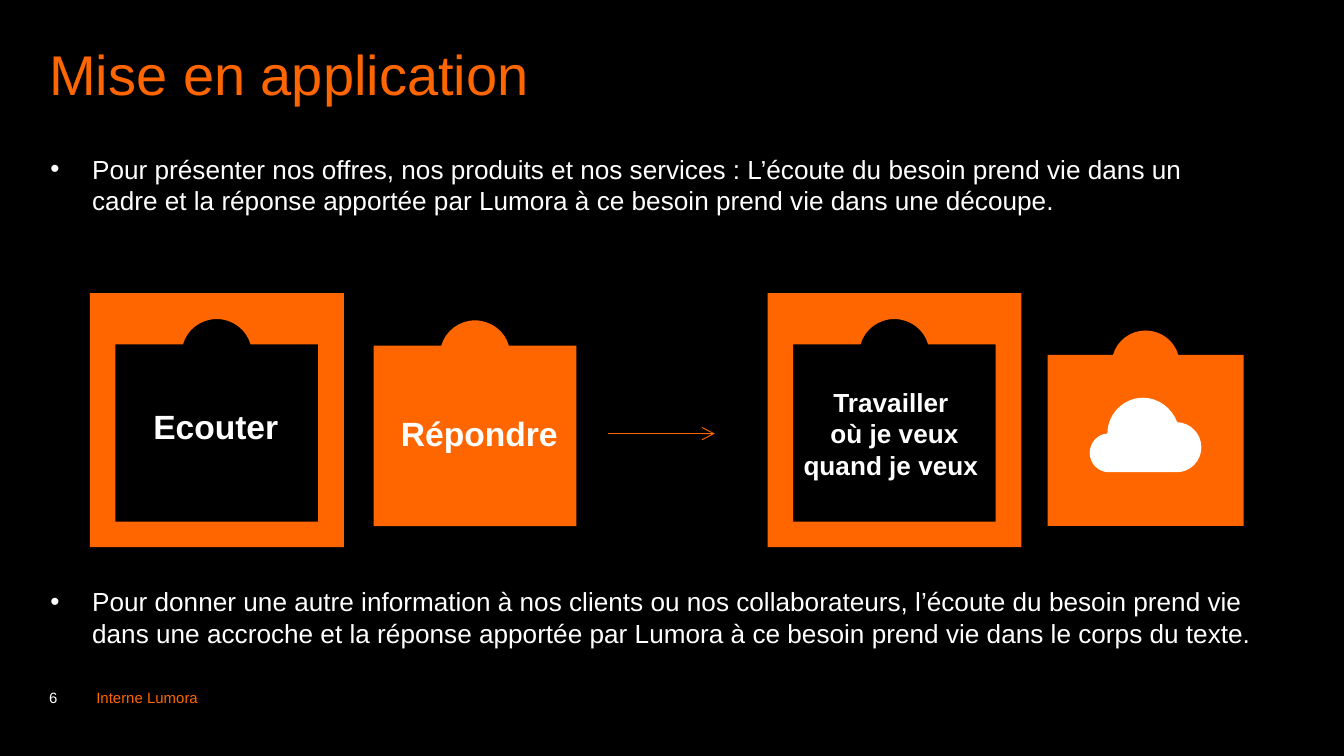
from lxml.etree import SubElement
from pptx import Presentation
from pptx.dml.color import RGBColor
from pptx.enum.shapes import MSO_CONNECTOR
from pptx.enum.text import MSO_ANCHOR, PP_ALIGN
from pptx.oxml.ns import qn
from pptx.util import Pt

BLACK = RGBColor(0x00, 0x00, 0x00)
WHITE = RGBColor(0xFF, 0xFF, 0xFF)
ORANGE = RGBColor(0xFF, 0x66, 0x00)

prs = Presentation()
prs.slide_width, prs.slide_height = Pt(720), Pt(405)
s = prs.slides.add_slide(prs.slide_layouts[6])
s.background.fill.solid()
s.background.fill.fore_color.rgb = BLACK


def tab_outline(x, y, w, h):
    """Box with a round knob on its top edge; a step of three points is a curve."""
    half, rise, mid = w / 6, w / 8, x + w / 2
    return [
        [(x, y)],
        [(mid - half, y)],
        [(mid - 0.88 * half, y - 0.58 * rise), (mid - 0.47 * half, y - rise), (mid, y - rise)],
        [(mid + 0.47 * half, y - rise), (mid + 0.88 * half, y - 0.58 * rise), (mid + half, y)],
        [(x + w, y)],
        [(x + w, y + h)],
        [(x, y + h)],
    ]


def add_outline(contours, color):
    """Freeform from contours of line and curve steps."""
    builder = None
    for contour in contours:
        ends = [(Pt(step[-1][0]), Pt(step[-1][1])) for step in contour]
        if builder is None:
            builder = s.shapes.build_freeform(*ends[0], scale=1.0)
        else:
            builder.move_to(*ends[0])
        builder.add_line_segments(ends[1:], close=True)
    sp = builder.convert_to_shape()
    sp.shadow.inherit = False
    sp.fill.solid()
    sp.fill.fore_color.rgb = color
    sp.line.fill.background()
    # Turn the three-point steps into Bézier curves
    steps = [step for contour in contours for step in contour[1:]]
    segments = list(sp._element.iter(qn("a:lnTo")))
    for step, segment in zip(steps, segments):
        if len(step) == 3:
            segment.tag = qn("a:cubicBezTo")
            for i, (px, py) in enumerate(step[:2]):
                pt = SubElement(segment, qn("a:pt"), x=str(Pt(px) - sp.left), y=str(Pt(py) - sp.top))
                segment.insert(i, pt)


# Solid tab and frame with a tab-shaped cut-out, for each pair
for tab, x in (((200.2, 185.2, 108.6, 96.6), 48.2), ((561.3, 190.2, 104.9, 91.6), 411.2)):
    y, size = 157.1, 136
    square = [[(x, y)], [(x, y + size)], [(x + size, y + size)], [(x + size, y)]]
    add_outline([tab_outline(*tab)], ORANGE)
    add_outline([tab_outline(x + 13.7, 184.5, 108.5, 95), square], ORANGE)

# Cloud
add_outline([[
    [(630.7, 226.2)],
    [(627.8, 218.6), (620.6, 213.1), (612.4, 213.1)],
    [(601.9, 213.1), (593.3, 221.8), (593.3, 232.3)],
    [(588, 232.5), (583.8, 237.2), (583.8, 242.6)],
    [(583.8, 248.4), (588.4, 253), (594.2, 253)],
    [(630.4, 253)],
    [(637.7, 253), (643.6, 247), (643.6, 239.7)],
    [(643.6, 232.4), (637.9, 226.5), (630.7, 226.2)],
]], WHITE)

# Arrow between the two pairs
line = s.shapes.add_connector(MSO_CONNECTOR.STRAIGHT, Pt(325.8), Pt(232.3), Pt(382.9), Pt(232.3))
line.line.color.rgb = ORANGE
line.line.width = Pt(0.5)
SubElement(line.line._get_or_add_ln(), qn("a:tailEnd"), type="arrow")
SubElement(line._element.spPr, qn("a:effectLst"))

# Title, page number and footer: no insets, tight lines
for box, text, size, color, anchor in (
    ((26.5, 26.6, 666.7, 51), "Mise en application", 30, ORANGE, MSO_ANCHOR.TOP),
    ((26.4, 352, 21.6, 26.6), "6", 8, WHITE, MSO_ANCHOR.BOTTOM),
    ((51.6, 352, 641.5, 26.6), "Interne Lumora", 8, ORANGE, MSO_ANCHOR.BOTTOM),
):
    tf = s.shapes.add_textbox(*map(Pt, box)).text_frame
    tf.word_wrap = True
    tf.vertical_anchor = anchor
    tf.margin_left = tf.margin_right = tf.margin_top = tf.margin_bottom = 0
    p = tf.paragraphs[0]
    p.line_spacing = 0.85
    r = p.add_run()
    r.text = text
    r.font.name, r.font.size, r.font.color.rgb = "Arial", Pt(size), color

# Bulleted paragraphs and bold labels
for box, lines, size, bulleted in (
    ((19.9, 78.5, 633.6, 58.3),
     ["Pour présenter nos offres, nos produits et nos services : L’écoute du besoin "
      "prend vie dans un cadre et la réponse apportée par Lumora à ce besoin prend "
      "vie dans une découpe."], 14, True),
    ((19.9, 310.3, 673.9, 58.3),
     ["Pour donner une autre information à nos clients ou nos collaborateurs, "
      "l’écoute du besoin prend vie dans une accroche et la réponse apportée par "
      "Lumora à ce besoin prend vie dans le corps du texte."], 14, True),
    ((41.8, 213.8, 147.6, 29), ["Ecouter"], 18, False),
    ((176.5, 217.5, 160.6, 29), ["Répondre"], 18, False),
    ((416.2, 203, 126, 58.3), ["Travailler ", "où je veux quand je veux "], 14, False),
):
    tf = s.shapes.add_textbox(*map(Pt, box)).text_frame
    tf.word_wrap = True
    tf.vertical_anchor = MSO_ANCHOR.TOP if bulleted else MSO_ANCHOR.MIDDLE
    for i, text in enumerate(lines):
        p = tf.add_paragraph() if i else tf.paragraphs[0]
        if bulleted:
            pPr = p._p.get_or_add_pPr()
            pPr.set("marL", str(Pt(22.4)))
            pPr.set("indent", str(Pt(-22.4)))
            SubElement(pPr, qn("a:buFont"), typeface="Arial")
            SubElement(pPr, qn("a:buChar"), char="•")
        else:
            p.alignment = PP_ALIGN.CENTER
        r = p.add_run()
        r.text = text
        r.font.name, r.font.size, r.font.color.rgb = "Arial", Pt(size), WHITE
        r.font.bold = not bulleted

prs.save("out.pptx")
